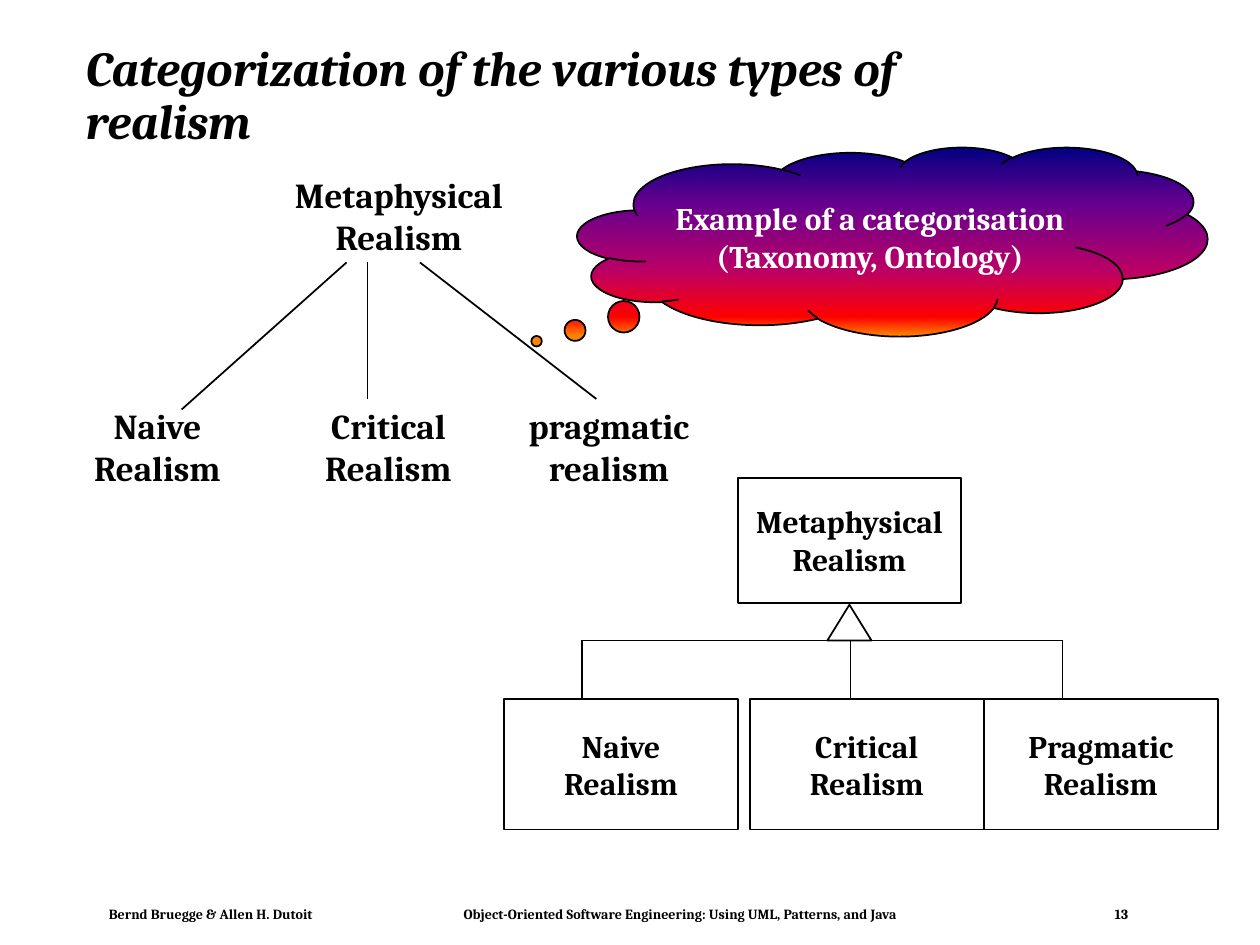
from lxml.etree import SubElement as Sub
from pptx import Presentation
from pptx.dml.color import RGBColor as RGB
from pptx.enum.shapes import MSO_CONNECTOR as Conn, MSO_SHAPE as Shape
from pptx.enum.text import MSO_ANCHOR as Anchor, PP_ALIGN as Align
from pptx.oxml.ns import qn
from pptx.util import Inches, Pt

# Content: places are in cells of a 120 by 90 grid, 12 cells to the inch
FONT = "Cambria"
HEX = {"ink": "000000", "light": "FFFFFF"}
FADE = [(0, "000082"), (30, "66008F"), (65, "BA0066"), (90, "FF0000"), (100, "FF8200")]
TITLE = "Categorization of the various types of realism"
FOOT = ["Bernd Bruegge & Allen H. Dutoit",
        "Object-Oriented Software Engineering: Using UML, Patterns, and Java", "13"]
TABS = [33.8, 95.8]
CLOUD = "Example of a categorisation\n(Taxonomy, Ontology)"

# Left tree: words and their corners, then branches
WORDS = [("Metaphysical\nRealism", 26, 16), ("Naive\nRealism", 3, 38),
         ("Critical\nRealism", 25, 38), ("pragmatic\nrealism", 46, 38)]
ROOT_Y = 25
TWIGS = [(33, 17.3, 39), (35, 35, 38), (40, 56.8, 38)]

# Class diagram: parent, children and the bar between them
PARENT = ("Metaphysical\nRealism", 70.3, 45.5, 21.2, 11.9)
KIDS = [("Naive\nRealism", 48), ("Critical\nRealism", 71.4), ("Pragmatic\nRealism", 93.7)]
KID_Y, KID_W, KID_H = 66.6, 22.3, 12.4
BAR_Y, DROPS = 61, [55.4, 81, 101.2]
TIP_W, TIP_H = 4.2, 3.4

deck = Presentation()
deck.slide_width, deck.slide_height = Inches(10), Inches(7.5)
CELL = deck.slide_width / 120
slide = deck.slides.add_slide(deck.slide_layouts[6])
shapes = slide.shapes


def grid(*cells):
    return [round(c * CELL) for c in cells]


def write(shape, text, size, color="ink", align=Align.CENTER, wrap=False):
    frame = shape.text_frame
    frame.text = text
    frame.word_wrap = wrap
    frame.vertical_anchor = Anchor.MIDDLE
    for para in frame.paragraphs:
        para.alignment = align
        for run in para.runs:
            font = run.font
            font.name, font.size, font.bold = FONT, Pt(size), True
            font.color.rgb = RGB.from_string(HEX[color])
    return frame


def label(text, box, size, **style):
    return write(shapes.add_textbox(*grid(*box)), text, size, **style)


def pen(item):
    item.line.color.rgb = RGB.from_string(HEX["ink"])
    item.line.width = Pt(1)


def draw(kind, box):
    shape = shapes.add_shape(kind, *grid(*box))
    shape.shadow.inherit = False
    shape.fill.background()
    pen(shape)
    return shape


def line(x1, y1, x2, y2):
    link = shapes.add_connector(Conn.STRAIGHT, *grid(x1, y1, x2, y2))
    pen(link)
    Sub(link._element.spPr, qn("a:effectLst"))


def fade(shape, stops):
    shape.fill.gradient()
    shape.fill.gradient_angle = 270
    rows = shape._element.spPr.find(qn("a:gradFill")).find(qn("a:gsLst"))
    for old in list(rows):
        rows.remove(old)
    for share, color in stops:
        stop = Sub(rows, qn("a:gs"), pos=str(share * 1000))
        Sub(stop, qn("a:srgbClr"), val=color)


# Footer, with tab stops between its parts
foot = label("\t".join(FOOT), (9.4, 85.8, 99.2, 2.5), 8, align=Align.LEFT)
foot.margin_left = foot.margin_right = Inches(0.08)
foot.margin_top = foot.margin_bottom = Inches(0.04)
tabs = Sub(foot.paragraphs[0]._p.get_or_add_pPr(), qn("a:tabLst"))
for stop in grid(*TABS):
    Sub(tabs, qn("a:tab"), pos=str(stop), algn="l")

# Title
head = label(TITLE, (7, 3, 94, 12.5), 28, align=Align.LEFT, wrap=True).paragraphs[0]
head.line_spacing = 0.9
head.runs[0].font.italic = True

# Left tree
for text, x, y in WORDS:
    label(text, (x, y, 24, 9), 20)
for x1, x2, y2 in TWIGS:
    line(x1, ROOT_Y, x2, y2)

# Class diagram
boxes = [PARENT] + [(text, x, KID_Y, KID_W, KID_H) for text, x in KIDS]
for text, *box in boxes:
    write(draw(Shape.RECTANGLE, box), text, 18)
mid = PARENT[1] + PARENT[3] / 2
draw(Shape.ISOSCELES_TRIANGLE, (mid - TIP_W / 2, BAR_Y - TIP_H, TIP_W, TIP_H))
for x in DROPS:
    line(x, BAR_Y, x, KID_Y)
line(DROPS[0], BAR_Y, DROPS[-1], BAR_Y)

# Thought cloud
cloud = draw(Shape.CLOUD_CALLOUT, (55, 14, 60, 18))
cloud.adjustments[0], cloud.adjustments[1] = -0.565, 0.528
fade(cloud, FADE)
write(cloud, CLOUD, 18, color="light")

deck.save("out.pptx")
